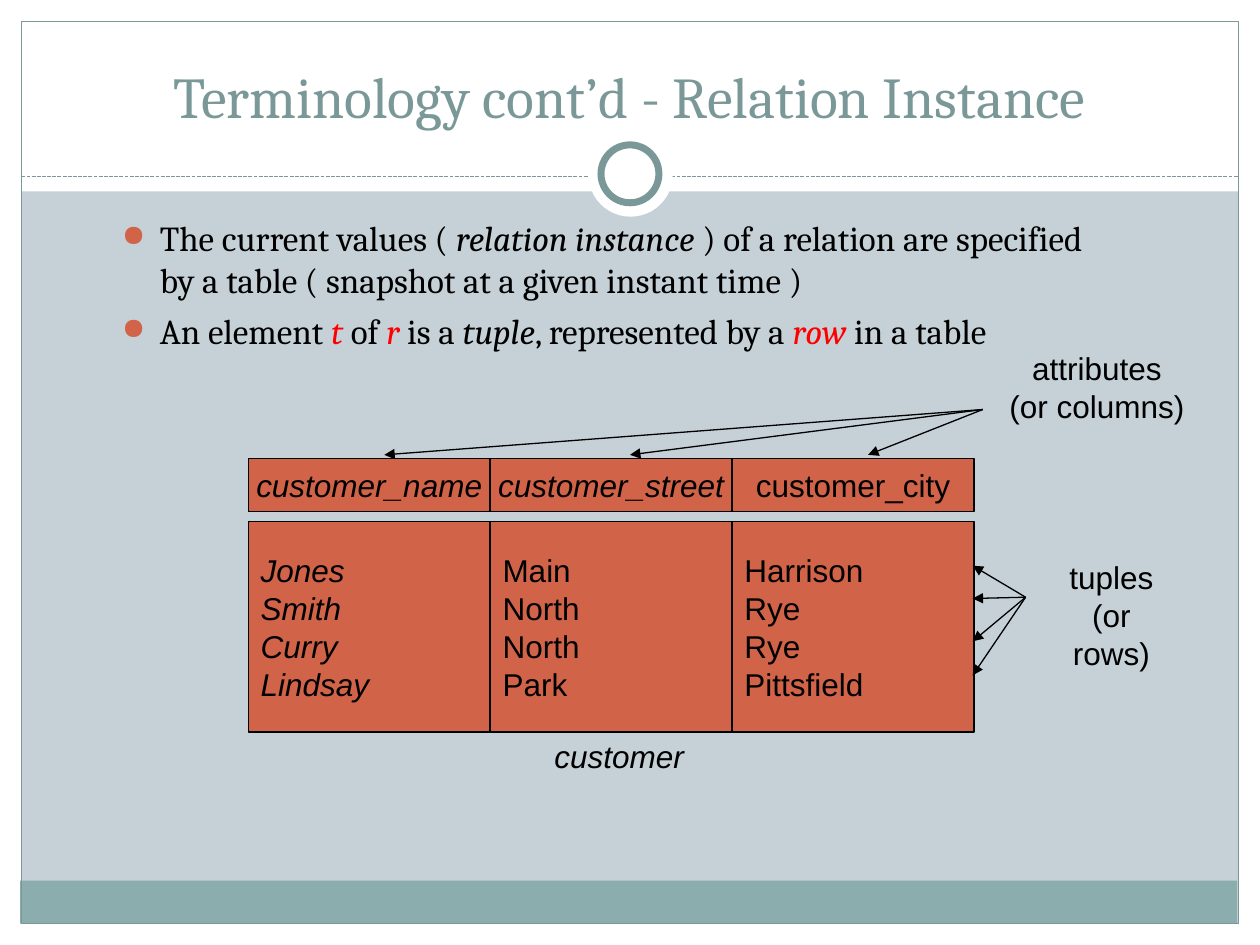
from dataclasses import dataclass
from typing import Optional

import lxml.etree
import pptx
import pptx.dml.color
import pptx.enum.dml
import pptx.enum.shapes
import pptx.enum.text
import pptx.oxml.ns
import pptx.util

Inches = pptx.util.Inches
Pt = pptx.util.Pt
ALIGN = pptx.enum.text.PP_ALIGN
ANCHOR = pptx.enum.text.MSO_ANCHOR
SHAPE = pptx.enum.shapes.MSO_SHAPE

COLORS = {
    "background": "C5D1D7",
    "white": "FFFFFF",
    "footer": "8CADAE",
    "accent": "7B9899",
    "cell": "D16349",
    "black": "000000",
    "red": "FF0000",
}


@dataclass
class Run:
    text: str
    italic: bool = False
    color: str = "black"


@dataclass
class Box:
    left: float
    top: float
    width: float
    height: float


@dataclass
class Panel:
    box: Box
    fill: Optional[str] = None
    line: Optional[str] = None
    line_width: float = 0.75
    kind: int = SHAPE.RECTANGLE


@dataclass
class Column:
    name: str
    values: list[str]
    name_italic: bool = True
    values_italic: bool = False


@dataclass
class Arrow:
    start: tuple[float, float]
    end: tuple[float, float]


def rgb(name: str):
    return pptx.dml.color.RGBColor.from_string(COLORS[name])


def add_child(parent, tag: str, **attributes: str):
    child = lxml.etree.SubElement(parent, pptx.oxml.ns.qn(tag))
    for name, value in attributes.items():
        child.set(name, value)
    return child


def add_panel(slide, panel: Panel):
    box = panel.box
    shape = slide.shapes.add_shape(panel.kind, Inches(box.left), Inches(box.top),
                                   Inches(box.width), Inches(box.height))
    shape.shadow.inherit = False
    if panel.fill:
        shape.fill.solid()
        shape.fill.fore_color.rgb = rgb(panel.fill)
    else:
        shape.fill.background()
    if panel.line:
        shape.line.color.rgb = rgb(panel.line)
        shape.line.width = Pt(panel.line_width)
    else:
        shape.line.fill.background()
    return shape


def add_text_box(slide, box: Box):
    return slide.shapes.add_textbox(Inches(box.left), Inches(box.top),
                                    Inches(box.width), Inches(box.height))


def add_bullet(paragraph) -> None:
    properties = paragraph._p.get_or_add_pPr()
    properties.set("marL", str(Inches(0.3)))
    properties.set("indent", str(Inches(-0.3)))
    color = add_child(properties, "a:buClr")
    add_child(color, "a:srgbClr", val=COLORS["cell"])
    add_child(properties, "a:buSzPct", val="85000")
    add_child(properties, "a:buChar", char="●")


def write_text(shape, paragraphs: list[list[Run]], size: float = 18, font: str = "Arial",
               align=ALIGN.CENTER, anchor=ANCHOR.TOP, wrap: bool = False,
               bulleted: bool = False, gap: float = 0) -> None:
    frame = shape.text_frame
    frame.word_wrap = wrap
    frame.vertical_anchor = anchor
    for index, runs in enumerate(paragraphs):
        paragraph = frame.add_paragraph() if index else frame.paragraphs[0]
        paragraph.alignment = align
        if index and gap:
            paragraph.space_before = Pt(gap)
        if bulleted:
            add_bullet(paragraph)
        for item in runs:
            run = paragraph.add_run()
            run.text = item.text
            formats = {"name": font, "size": Pt(size), "italic": item.italic}
            for name, value in formats.items():
                setattr(run.font, name, value)
            run.font.color.rgb = rgb(item.color)


def add_line(slide, arrow: Arrow, color: str = "black", dashed: bool = False) -> None:
    connector = slide.shapes.add_connector(
        pptx.enum.shapes.MSO_CONNECTOR.STRAIGHT,
        *(Inches(value) for value in arrow.start + arrow.end))
    connector.line.color.rgb = rgb(color)
    connector.line.width = Pt(0.75)
    if dashed:
        connector.line.dash_style = pptx.enum.dml.MSO_LINE.SQUARE_DOT
    else:
        add_child(connector.line._get_or_add_ln(), "a:tailEnd", type="triangle")
    add_child(connector._element.spPr, "a:effectLst")


def add_column(slide, column: Column, left: float, width: float) -> None:
    values = add_panel(slide, Panel(Box(left, 4.14, width, 1.67), "cell", "black"))
    write_text(values, [[Run(value, column.values_italic)] for value in column.values],
               align=ALIGN.LEFT, anchor=ANCHOR.MIDDLE)
    header = add_panel(slide, Panel(Box(left, 3.64, width, 0.42), "cell", "black"))
    write_text(header, [[Run(column.name, column.name_italic)]], anchor=ANCHOR.MIDDLE)


FRAME = [
    Panel(Box(0, 7.33, 10, 0.17), "white"),
    Panel(Box(0, 0, 10, 1.52), "white"),
    Panel(Box(0, 0, 0.17, 7.5), "white"),
    Panel(Box(9.83, 0, 0.17, 7.5), "white"),
    Panel(Box(0.16, 6.99, 9.66, 0.34), "footer"),
    Panel(Box(0.17, 0.17, 9.66, 7.16), line="accent"),
]
RINGS = [
    Panel(Box(4.67, 1.05, 0.67, 0.67), "white", kind=SHAPE.OVAL),
    Panel(Box(4.77, 1.15, 0.46, 0.46), "white", "accent", 4, SHAPE.OVAL),
]
BULLETS = [
    [Run("The current values ( "), Run("relation instance ", True),
     Run(") of a relation are specified by a table ( snapshot at a given instant time )")],
    [Run("An element "), Run("t", True, "red"), Run(" of "), Run("r", True, "red"),
     Run(" is a "), Run("tuple", True), Run(", represented by a "),
     Run("row ", True, "red"), Run("in a table")],
]
COLUMNS = [
    Column("customer_name", ["Jones", "Smith", "Curry", "Lindsay"], values_italic=True),
    Column("customer_street", ["Main", "North", "North", "Park"]),
    Column("customer_city", ["Harrison", "Rye", "Rye", "Pittsfield"], name_italic=False),
]
LABELS = [
    (Box(7.91, 2.72, 1.59, 0.7), ["attributes", "(or columns)"]),
    (Box(8.23, 4.38, 1.18, 0.7), ["tuples", "(or rows)"]),
]
ATTRIBUTE_ARROWS = [Arrow((7.8, 3.25), (x, 3.61)) for x in (3.05, 5, 6.89)]
TUPLE_ARROWS = [Arrow((8.14, 4.74), (7.72, y)) for y in (4.49, 4.75, 5.09, 5.36)]


def main() -> None:
    presentation = pptx.Presentation()
    presentation.slide_width, presentation.slide_height = Inches(10), Inches(7.5)
    slide = presentation.slides.add_slide(presentation.slide_layouts[6])
    slide.background.fill.solid()
    slide.background.fill.fore_color.rgb = rgb("background")

    # Frame, dashed divider and ring
    for panel in FRAME:
        add_panel(slide, panel)
    add_line(slide, Arrow((0.17, 1.4), (9.83, 1.4)), "accent", dashed=True)
    for ring in RINGS:
        add_panel(slide, ring)

    # Title and bullets
    write_text(add_text_box(slide, Box(0.33, 0.25, 9.33, 0.83)),
               [[Run("Terminology cont’d - Relation Instance", color="accent")]],
               size=33, font="Cambria", anchor=ANCHOR.BOTTOM, wrap=True)
    write_text(add_text_box(slide, Box(0.87, 1.67, 8.1, 2.16)), BULLETS, size=20,
               font="Cambria", align=ALIGN.LEFT, wrap=True, bulleted=True, gap=5)

    # Relation with its name below
    column_width = 1.92
    for index, column in enumerate(COLUMNS):
        add_column(slide, column, 1.97 + index * column_width, column_width)
    write_text(add_text_box(slide, Box(4.3, 5.8, 1.23, 0.4)),
               [[Run("customer", True)]], anchor=ANCHOR.MIDDLE)

    # Labels and their arrows
    for box, lines in LABELS:
        write_text(add_text_box(slide, box), [[Run(line)] for line in lines])
    for arrow in ATTRIBUTE_ARROWS + TUPLE_ARROWS:
        add_line(slide, arrow)

    presentation.save("out.pptx")


if __name__ == "__main__":
    main()
